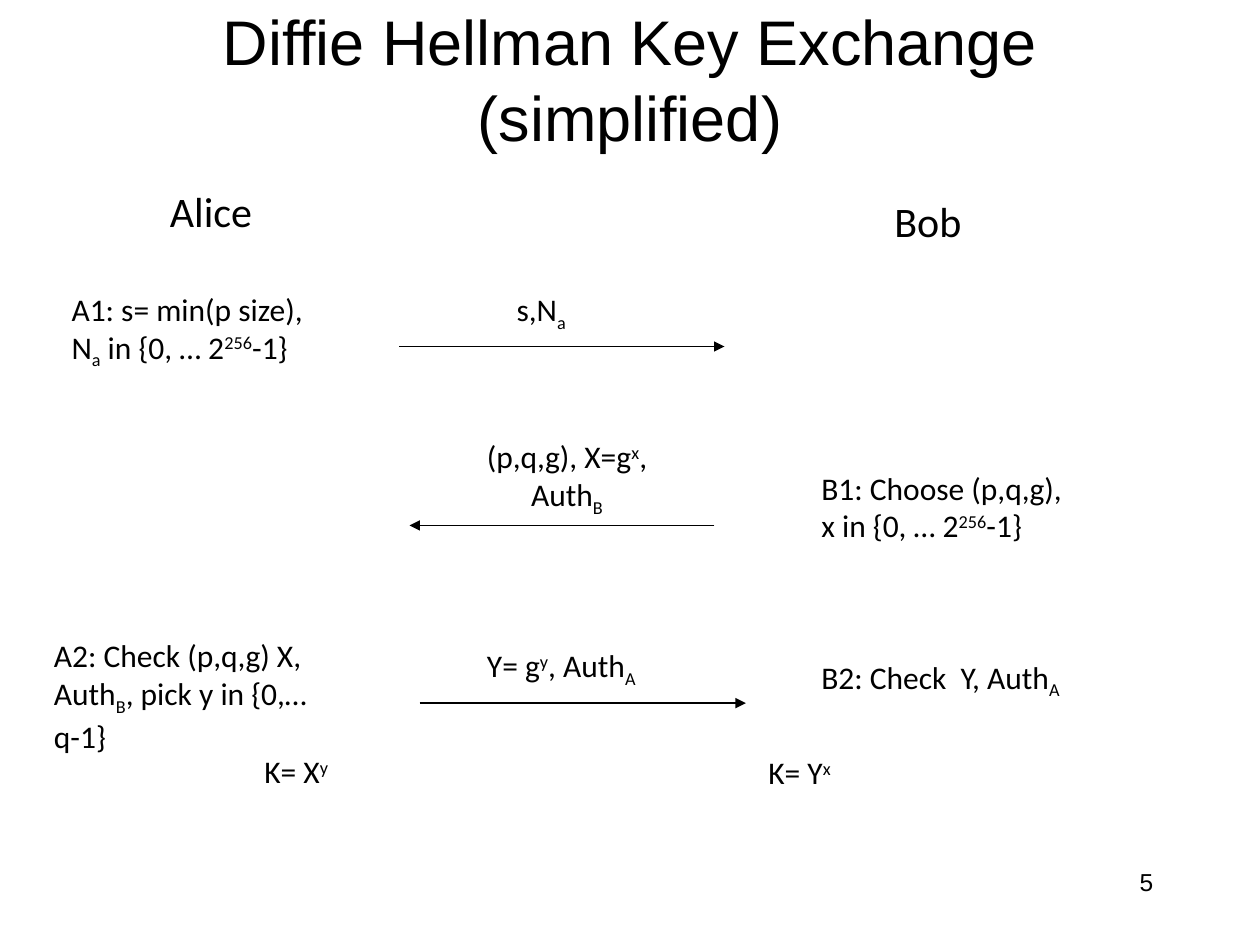
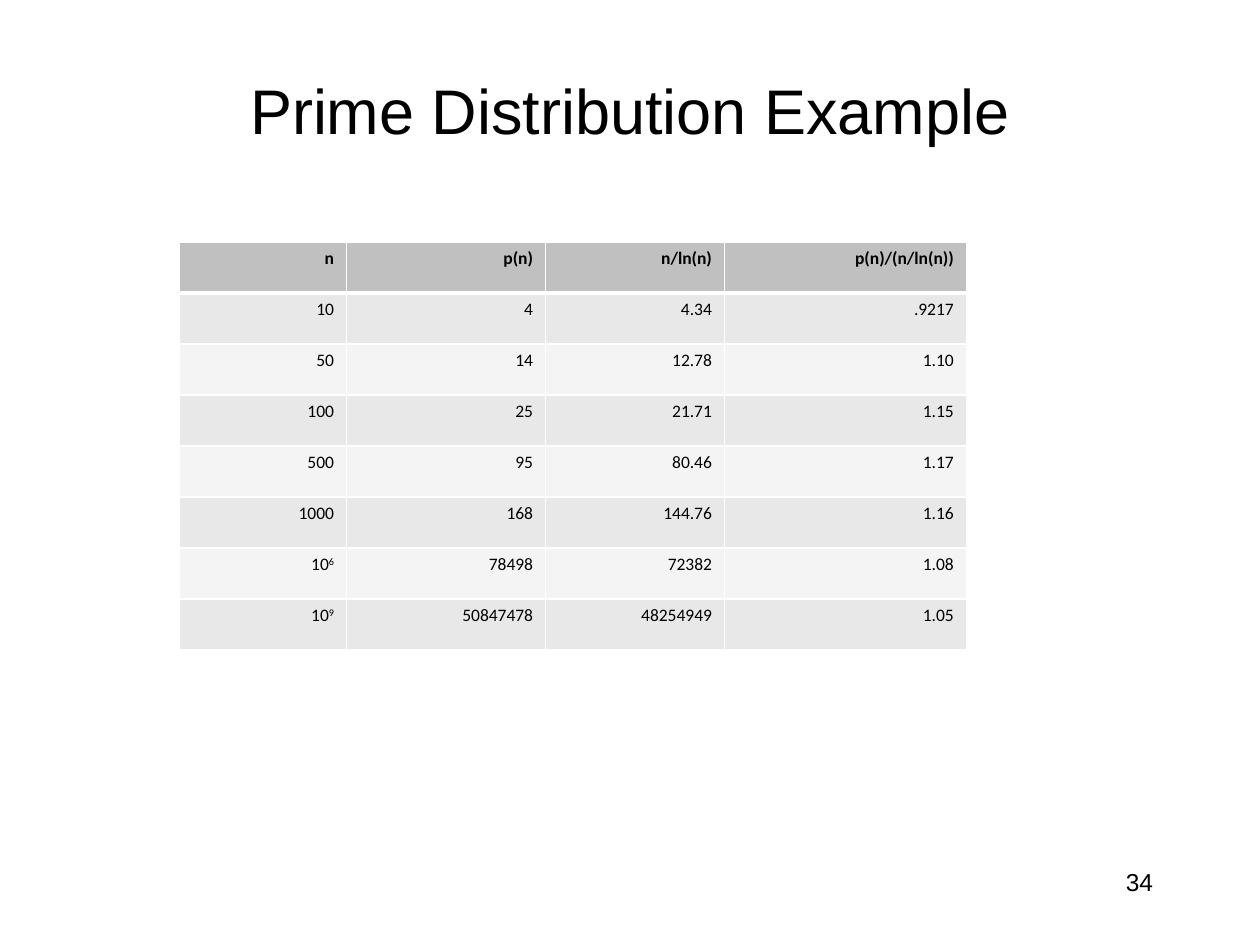
import pptx
import pptx.dml.color
import pptx.enum.shapes
import pptx.enum.text
import pptx.oxml.ns
import pptx.util
import lxml.etree

Inches = pptx.util.Inches
Pt = pptx.util.Pt
align = pptx.enum.text.PP_ALIGN
qn = pptx.oxml.ns.qn

hues = {"ink": "000000", "rule": "FFFFFF", "head": "C0C0C0", "odd": "E8E8E8", "even": "F4F4F4"}
looks = {
    "title": {"name": "Arial", "size": Pt(36)},
    "page": {"name": "Arial", "size": Pt(14)},
    "party": {"name": "Calibri", "size": Pt(24)},
    "step": {"name": "Calibri", "size": Pt(18)},
    "cell": {"name": "Calibri", "size": Pt(10), "bold": False},
    "head": {"name": "Calibri", "size": Pt(10), "bold": True},
}
shifts = {"^": "30000", "_": "-25000"}


def write(frame, text, look, side):
    for num, line in enumerate(text.split("\n")):
        para = frame.paragraphs[0] if num == 0 else frame.add_paragraph()
        para.alignment = side
        for part in line.split("|"):
            run = para.add_run()
            run.text = part.lstrip("^_")
            for key, value in looks[look].items():
                setattr(run.font, key, value)
            run.font.color.rgb = pptx.dml.color.RGBColor.from_string(hues["ink"])
            if part[0] in shifts:
                run.font._element.set("baseline", shifts[part[0]])


def put(slide, spot, text, look, side=align.LEFT):
    frame = slide.shapes.add_textbox(*map(Inches, spot)).text_frame
    frame.word_wrap = True
    write(frame, text, look, side)
    return frame


deck = pptx.Presentation()
deck.slide_width, deck.slide_height = Inches(10), Inches(7.5)

slides = []
for title, top, page in [
    ("Diffie Hellman Key Exchange (simplified)", 0.08, "5"),
    ("Prime Distribution Example", 0.33, "34"),
]:
    slide = deck.slides.add_slide(deck.slide_layouts[6])
    frame = put(slide, (0.75, top, 8.5, 1.08), title, "title", align.CENTER)
    frame.vertical_anchor = pptx.enum.text.MSO_ANCHOR.MIDDLE
    put(slide, (7.17, 6.83, 2.08, 0.5), page, "page", align.RIGHT)
    slides.append(slide)
swap, primes = slides

for name, left, top in [("Alice", 0.75, 1.42), ("Bob", 6.5, 1.5)]:
    frame = put(swap, (left, top, 1.75, 0.42), name, "party")
    props = frame.paragraphs[0]._p.get_or_add_pPr()
    props.set("marL", str(Inches(0.81)))
    props.set("indent", str(Inches(-0.31)))

for spot, text in [
    ((0.47, 2.25, 2.36, 0.71), "A1: s= min(p size),\nN|_a| in {0, … 2|^256|-1}"),
    ((6.42, 3.67, 2.75, 0.71), "B1: Choose (p,q,g),\nx in {0, … 2|^256|-1}"),
    ((0.33, 5, 2.58, 1.01), "A2: Check (p,q,g) X, Auth|_B|, pick y in {0,…q-1}"),
    ((6.42, 5.17, 2.75, 0.4), "B2: Check  Y, Auth|_A"),
    ((2, 5.92, 1.75, 0.4), "K= X|^y"),
    ((6, 5.93, 1.75, 0.4), "K= Y|^x"),
]:
    put(swap, spot, text, "step")

for spot, text, start, end, level in [
    ((3.42, 2.25, 1.75, 0.4), "s,N|_a", 3.17, 5.75, 2.75),
    ((3.5, 3.42, 2, 0.71), "(p,q,g), X=g|^x|, Auth|_B", 5.67, 3.25, 4.17),
    ((3.58, 5.08, 1.75, 0.4), "Y= g|^y|, Auth|_A", 3.33, 5.92, 5.58),
]:
    put(swap, spot, text, "step", align.CENTER)
    arrow = swap.shapes.add_connector(
        pptx.enum.shapes.MSO_CONNECTOR.STRAIGHT,
        Inches(start), Inches(level), Inches(end), Inches(level),
    )
    arrow.line.color.rgb = pptx.dml.color.RGBColor.from_string(hues["ink"])
    arrow.line.width = Pt(1)
    lxml.etree.SubElement(arrow.line._get_or_add_ln(), qn("a:tailEnd"), type="triangle")
    lxml.etree.SubElement(arrow._element.spPr, qn("a:effectLst"))

rows = [
    ("n", "p(n)", "n/ln(n)", "p(n)/(n/ln(n))"),
    ("10", "4", "4.34", ".9217"),
    ("50", "14", "12.78", "1.10"),
    ("100", "25", "21.71", "1.15"),
    ("500", "95", "80.46", "1.17"),
    ("1000", "168", "144.76", "1.16"),
    ("10|^6", "78498", "72382", "1.08"),
    ("10|^9", "50847478", "48254949", "1.05"),
]
widths = [1.33, 1.58, 1.42, 1.92]
table = primes.shapes.add_table(
    len(rows), len(widths), Inches(1.42), Inches(1.92), Inches(6.25), Inches(3.24)
).table
for col, width in zip(table.columns, widths):
    col.width = Inches(width)

for r, row in enumerate(rows):
    band = "head" if r == 0 else "odd" if r % 2 else "even"
    for c, text in enumerate(row):
        cell = table.cell(r, c)
        write(cell.text_frame, text, "cell" if r else "head", align.RIGHT)
        props = cell._tc.get_or_add_tcPr()
        for edge in "LRTB":
            thick = 3 if (r, edge) in [(0, "B"), (1, "T")] else 1
            line = lxml.etree.SubElement(props, qn("a:ln" + edge), w=str(Pt(thick)))
            fill = lxml.etree.SubElement(line, qn("a:solidFill"))
            lxml.etree.SubElement(fill, qn("a:srgbClr"), val=hues["rule"])
        cell.fill.solid()
        cell.fill.fore_color.rgb = pptx.dml.color.RGBColor.from_string(hues[band])

deck.save("out.pptx")
